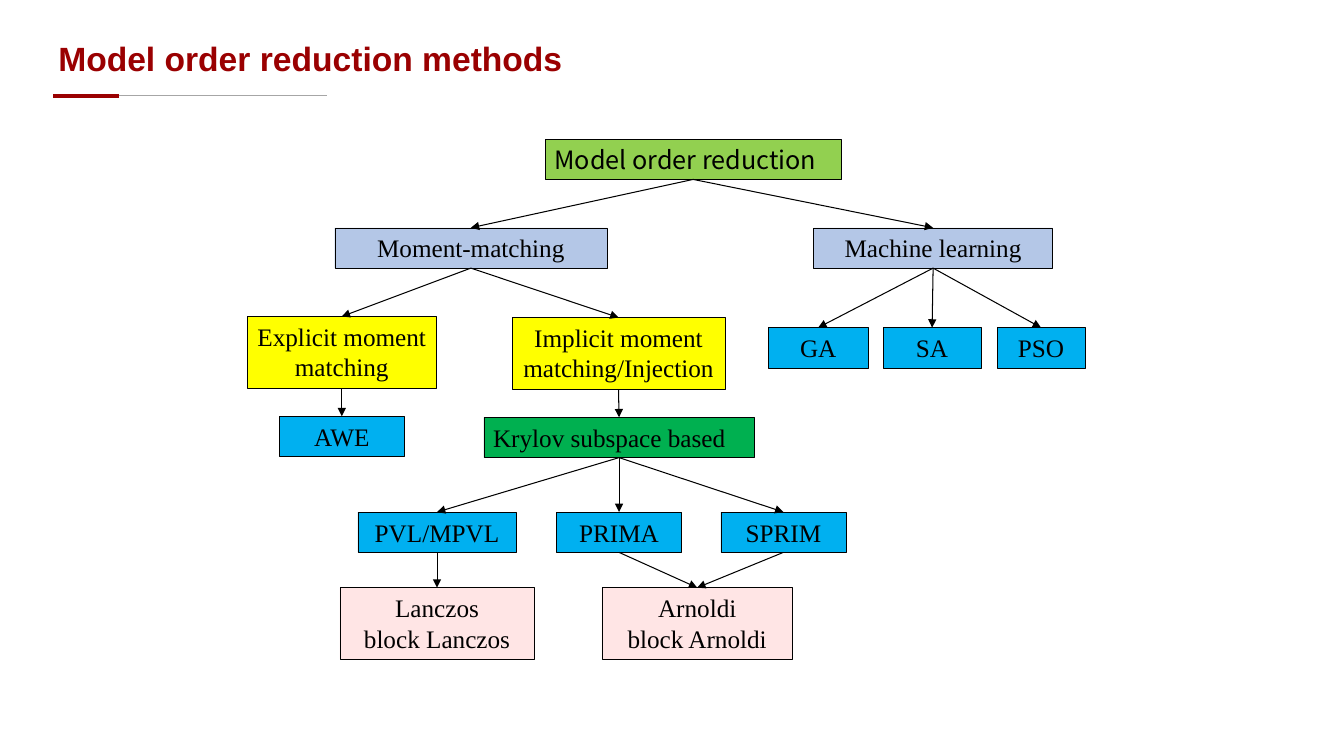
from lxml.etree import SubElement
from pptx import Presentation
from pptx.dml.color import RGBColor
from pptx.enum.shapes import MSO_CONNECTOR, MSO_SHAPE
from pptx.enum.text import MSO_ANCHOR, PP_ALIGN
from pptx.oxml.ns import qn
from pptx.util import Inches, Pt

COLOURS = {
    "black": "000000", "red": "9A0001", "grey": "A6A6A6",
    "lime": "92D050", "lavender": "B4C7E7", "yellow": "FFFF00",
    "blue": "00B0F0", "green": "00B050", "pink": "FFE5E5",
}
SERIF = "Times New Roman"
BOTTOM, TOP = 2, 0  # connection sites of a rectangle
ONE_LINE, TWO_LINES = 0.4, 0.71

# key: (text, left, top, width, height, fill)
NODES = {
    "root": ("Model order reduction", 5.41, 1.38, 2.93, ONE_LINE, "lime"),
    "moment": ("Moment-matching", 3.32, 2.26, 2.7, ONE_LINE, "lavender"),
    "learning": ("Machine learning", 8.07, 2.26, 2.37, ONE_LINE, "lavender"),
    "explicit": ("Explicit moment matching", 2.45, 3.14, 1.88, TWO_LINES, "yellow"),
    "implicit": ("Implicit moment matching/Injection", 5.08, 3.15, 2.11, TWO_LINES, "yellow"),
    "ga": ("GA", 7.62, 3.25, 0.99, ONE_LINE, "blue"),
    "sa": ("SA", 8.76, 3.25, 0.97, ONE_LINE, "blue"),
    "pso": ("PSO", 9.89, 3.25, 0.87, ONE_LINE, "blue"),
    "awe": ("AWE", 2.77, 4.13, 1.24, ONE_LINE, "blue"),
    "krylov": ("Krylov subspace based", 4.8, 4.14, 2.68, ONE_LINE, "green"),
    "pvl": ("PVL/MPVL", 3.55, 5.08, 1.57, ONE_LINE, "blue"),
    "prima": ("PRIMA", 5.52, 5.08, 1.24, ONE_LINE, "blue"),
    "sprim": ("SPRIM", 7.15, 5.08, 1.24, ONE_LINE, "blue"),
    "lanczos": ("Lanczos\nblock Lanczos", 3.37, 5.83, 1.93, TWO_LINES, "pink"),
    "arnoldi": ("Arnoldi\nblock Arnoldi", 5.97, 5.83, 1.89, TWO_LINES, "pink"),
}
LEFT_ALIGNED = ("root", "krylov")
FONTS = {"root": "Noto Sans CJK SC"}
CHILDREN = {
    "root": ["moment", "learning"],
    "moment": ["explicit", "implicit"],
    "learning": ["ga", "sa", "pso"],
    "explicit": ["awe"],
    "implicit": ["krylov"],
    "krylov": ["pvl", "prima", "sprim"],
    "pvl": ["lanczos"],
    "prima": ["arnoldi"],
    "sprim": ["arnoldi"],
}


def colour(name):
    return RGBColor.from_string(COLOURS[name])


def style_paragraph(para, font, size, name, bold=False):
    para.font.name = font
    para.font.size = Pt(size)
    para.font.bold = bold
    para.font.color.rgb = colour(name)


def add_title(page, text):
    box = page.shapes.add_textbox(Inches(0.48), Inches(0.26), Inches(9.9), Inches(0.68))
    frame = box.text_frame
    frame.word_wrap = True
    frame.vertical_anchor = MSO_ANCHOR.MIDDLE
    frame.text = text
    para = frame.paragraphs[0]
    para.line_spacing = 0.9
    style_paragraph(para, "Arial", 24, "red", bold=True)


def add_node(page, key):
    text, left, top, width, height, fill = NODES[key]
    box = page.shapes.add_shape(
        MSO_SHAPE.RECTANGLE, Inches(left), Inches(top), Inches(width), Inches(height))
    box.shadow.inherit = False
    box.fill.solid()
    box.fill.fore_color.rgb = colour(fill)
    box.line.color.rgb = colour("black")
    box.line.width = Pt(0.25)
    frame = box.text_frame
    frame.word_wrap = True
    frame.vertical_anchor = MSO_ANCHOR.TOP
    frame.margin_left = frame.margin_right = Inches(0.09)
    frame.text = text
    for para in frame.paragraphs:
        para.alignment = PP_ALIGN.LEFT if key in LEFT_ALIGNED else PP_ALIGN.CENTER
        style_paragraph(para, FONTS.get(key, SERIF), 18, "black")
    return box


def add_line(page, start, end, name, width):
    line = page.shapes.add_connector(
        MSO_CONNECTOR.STRAIGHT, *(Inches(value) for value in start + end))
    line.line.color.rgb = colour(name)
    line.line.width = Pt(width)
    SubElement(line._element.spPr, qn("a:effectLst"))
    return line


def add_arrow(page, parent, child):
    arrow = add_line(page, (0, 0), (0, 0), "black", 0.75)
    arrow.begin_connect(parent, BOTTOM)
    arrow.end_connect(child, TOP)
    SubElement(arrow.line._get_or_add_ln(), qn("a:tailEnd"), type="triangle")


def main():
    deck = Presentation()
    deck.slide_width, deck.slide_height = Inches(13.33), Inches(7.5)
    page = deck.slides.add_slide(deck.slide_layouts[6])

    # Heading with its two-tone rule
    add_line(page, (0.58, 0.95), (3.24, 0.95), "grey", 0.75)
    add_line(page, (0.53, 0.95), (1.18, 0.95), "red", 3)
    add_title(page, "Model order reduction methods")

    # Tree of methods
    boxes = {key: add_node(page, key) for key in NODES}
    for parent, children in CHILDREN.items():
        for child in children:
            add_arrow(page, boxes[parent], boxes[child])

    deck.save("out.pptx")


if __name__ == "__main__":
    main()
